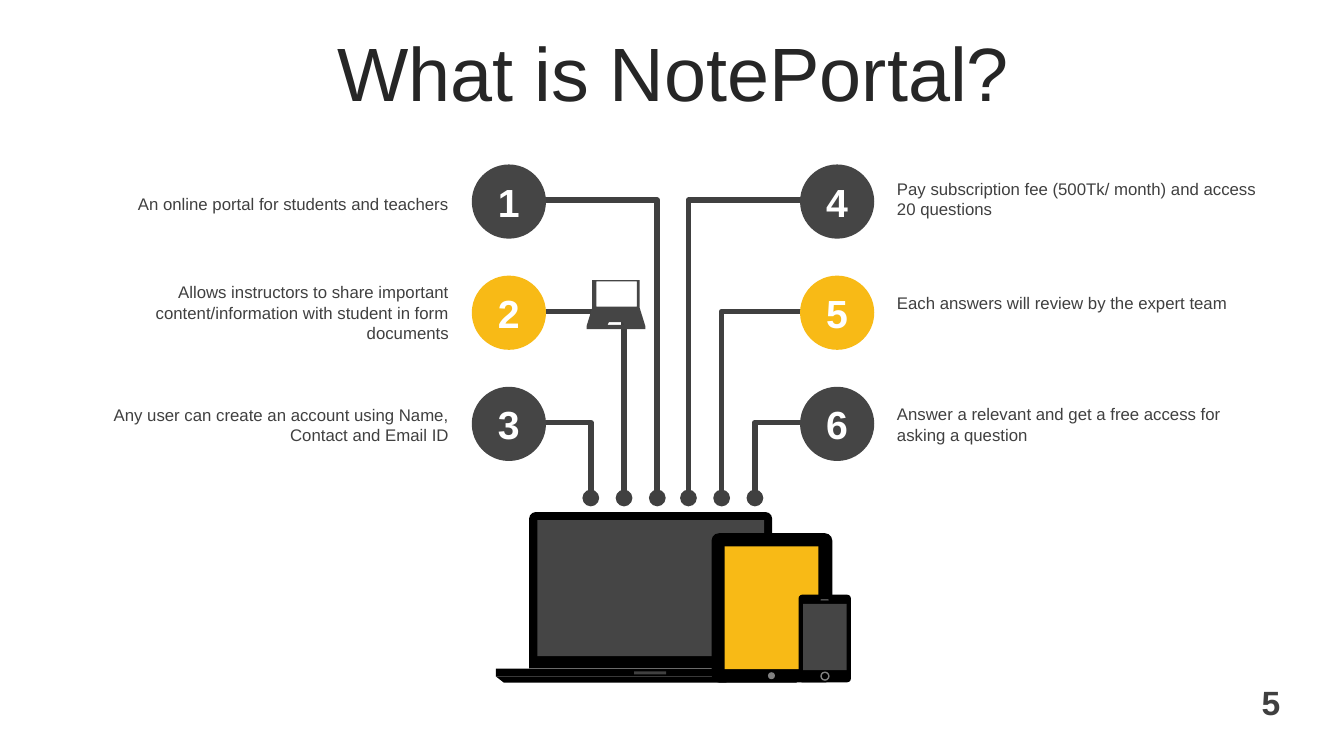
from lxml import etree
from pptx import Presentation
from pptx.dml.color import RGBColor
from pptx.enum.shapes import MSO_CONNECTOR, MSO_SHAPE
from pptx.enum.text import MSO_ANCHOR, MSO_AUTO_SIZE, PP_ALIGN
from pptx.oxml.ns import qn
from pptx.util import Pt

ELBOW = MSO_CONNECTOR.ELBOW
OVAL, RECT, TRAPEZOID = MSO_SHAPE.OVAL, MSO_SHAPE.RECTANGLE, MSO_SHAPE.TRAPEZOID
ROUND, ROUND_TOP = MSO_SHAPE.ROUNDED_RECTANGLE, MSO_SHAPE.ROUND_2_SAME_RECTANGLE
LEFT, CENTER, RIGHT = PP_ALIGN.LEFT, PP_ALIGN.CENTER, PP_ALIGN.RIGHT
MIDDLE = MSO_ANCHOR.MIDDLE

WHITE = RGBColor(0xFF, 0xFF, 0xFF)
BLACK = RGBColor(0, 0, 0)
INK = RGBColor(0x26, 0x26, 0x26)
TEXT = RGBColor(0x40, 0x40, 0x40)
PAGE = RGBColor(0x3F, 0x3F, 0x3F)
DARK = RGBColor(0x45, 0x45, 0x45)
YELLOW = RGBColor(0xF8, 0xBA, 0x16)
GRAY = RGBColor(0x80, 0x80, 0x80)

DIAMETER = 53
ROW_TOP, ROW_STEP = 117.5, 79.4
ROW_COLORS = [DARK, YELLOW, DARK]
DOT_Y, DOT_STEP = 355.7, 23.75

# Text top and wording of each row
LEFT_ITEMS = [
    (134.6, "An online portal for students and teachers"),
    (198, "Allows instructors to share important content/information "
          "with student in form documents"),
    (285.8, "Any user can create an account using Name, Contact and Email ID"),
]
RIGHT_ITEMS = [
    (123.8, "Pay subscription fee (500Tk/ month) and access 20 questions"),
    (205.9, "Each answers will review by the expert team"),
    (285.1, "Answer a relevant and get a free access for asking a question"),
]


def style_text(tf, text, size, color, align, bold=False):
    tf.text = text
    p = tf.paragraphs[0]
    p.alignment = align
    font = p.runs[0].font
    font.name, font.size, font.bold = "Arial", Pt(size), bold
    font.color.rgb = color
    return p


def add_text(shapes, box, text, size, color, align, bold=False, wrap=True):
    tf = shapes.add_textbox(*map(Pt, box)).text_frame
    tf.word_wrap = wrap
    style_text(tf, text, size, color, align, bold)
    return tf


def paint(sp, color):
    sp.shadow.inherit = False
    sp.fill.solid()
    sp.fill.fore_color.rgb = color
    sp.line.fill.background()


def add_block(shapes, kind, box, color, corner=None):
    sp = shapes.add_shape(kind, *map(Pt, box))
    paint(sp, color)
    if corner is not None:
        sp.adjustments[0] = corner
    return sp


def add_wire(shapes, x, y, dot_x):
    wire = shapes.add_connector(ELBOW, Pt(x), Pt(y), Pt(dot_x), Pt(DOT_Y))
    wire.line.color.rgb = TEXT
    wire.line.width = Pt(4)
    # Bend right above the dot
    spPr = wire._element.spPr
    av = spPr.find(qn("a:prstGeom")).get_or_add_avLst()
    etree.SubElement(av, qn("a:gd"), name="adj1", fmla="val 100000")
    # Round ends
    ln = spPr.find(qn("a:ln"))
    for end in ("a:headEnd", "a:tailEnd"):
        etree.SubElement(ln, qn(end), type="oval")
    etree.SubElement(spPr, qn("a:effectLst"))


def add_column(shapes, items, first, circle_x, wire_x, dot_x, dot_step, text_x, align):
    rows = [ROW_TOP + i * ROW_STEP for i in range(len(items))]
    for i, top in enumerate(rows):
        add_wire(shapes, wire_x, top + DIAMETER / 2 - 1, dot_x + i * dot_step)
    for i, (top, (text_y, text)) in enumerate(zip(rows, items)):
        sp = add_block(shapes, OVAL, (circle_x, top, DIAMETER, DIAMETER), ROW_COLORS[i])
        tf = sp.text_frame
        tf.margin_left = tf.margin_right = tf.margin_top = tf.margin_bottom = 0
        tf.vertical_anchor = MIDDLE
        style_text(tf, str(first + i), 28, WHITE, CENTER, True)
        add_text(shapes, (text_x, text_y, 278, 36), text, 12, TEXT, align)


def add_laptop_icon(shapes):
    outline = [(423.4, 200.2), (457.2, 200.2), (457.2, 220.3), (460.8, 233.3),
               (460.8, 235.4), (419, 235.4), (419, 233.3), (423.4, 220.3)]
    screen = [(425.5, 200.9), (425.5, 218.9), (455, 218.9), (455, 200.9)]
    touchpad = [(435, 229.7), (434.2, 231.8), (445.7, 231.8), (445, 229.7)]
    fb = shapes.build_freeform(*outline[0], scale=Pt(1))
    fb.add_line_segments(outline[1:])
    for hole in (screen, touchpad):
        fb.move_to(*hole[0])
        fb.add_line_segments(hole[1:])
    paint(fb.convert_to_shape(), DARK)


def add_devices(shapes):
    # Laptop
    add_block(shapes, ROUND_TOP, (378, 365.8, 173.5, 111.6), BLACK, 0.04)
    add_block(shapes, RECT, (383.8, 371.5, 162, 97.2), DARK)
    add_block(shapes, RECT, (354.2, 477.6, 220.3, 5.6), BLACK)
    base = add_block(shapes, TRAPEZOID, (354.2, 483.2, 220.3, 4.3), BLACK, 1.3)
    base.rotation = 180
    add_block(shapes, RECT, (452.9, 479.5, 23, 2.2), TEXT)
    # Tablet
    add_block(shapes, ROUND, (508.3, 380.9, 86.2, 106.6), BLACK, 0.06)
    add_block(shapes, RECT, (517.7, 390.2, 67, 87.8), YELLOW)
    add_block(shapes, OVAL, (548.6, 480.2, 5, 5), GRAY)
    # Phone
    add_block(shapes, ROUND, (570.4, 424.8, 37.4, 62.6), BLACK, 0.07)
    add_block(shapes, RECT, (573.6, 431.3, 31.2, 47.5), DARK)
    add_block(shapes, ROUND, (586.1, 428.2, 5.8, 0.7), GRAY, 0.5)
    button = add_block(shapes, OVAL, (586.5, 480.2, 5.6, 5.6), BLACK)
    button.line.color.rgb = GRAY
    button.line.width = Pt(1)


def main():
    prs = Presentation()
    prs.slide_width, prs.slide_height = Pt(960), Pt(540)
    slide = prs.slides.add_slide(prs.slide_layouts[5])
    shapes = slide.shapes

    # Title
    title = shapes.title
    title.left, title.top, title.width, title.height = map(Pt, (25.2, 26.6, 911.5, 56.9))
    tf = title.text_frame
    tf.auto_size = MSO_AUTO_SIZE.NONE
    tf.vertical_anchor = MIDDLE
    style_text(tf, "What is NotePortal?", 54, INK, CENTER).line_spacing = 0.9

    # Devices and the six numbered points
    add_devices(shapes.add_group_shape().shapes)
    add_column(shapes, LEFT_ITEMS, 1, 337, 380, 469.5, -DOT_STEP, 49.7, RIGHT)
    add_column(shapes, RIGHT_ITEMS, 4, 571.5, 582, 491.8, DOT_STEP, 633.6, LEFT)
    add_laptop_icon(shapes)

    # Page number
    tf = add_text(shapes, (893.5, 480.2, 28.8, 43.2), "5", 24, PAGE, CENTER, True, False)
    tf.vertical_anchor = MIDDLE

    prs.save("out.pptx")


if __name__ == "__main__":
    main()
